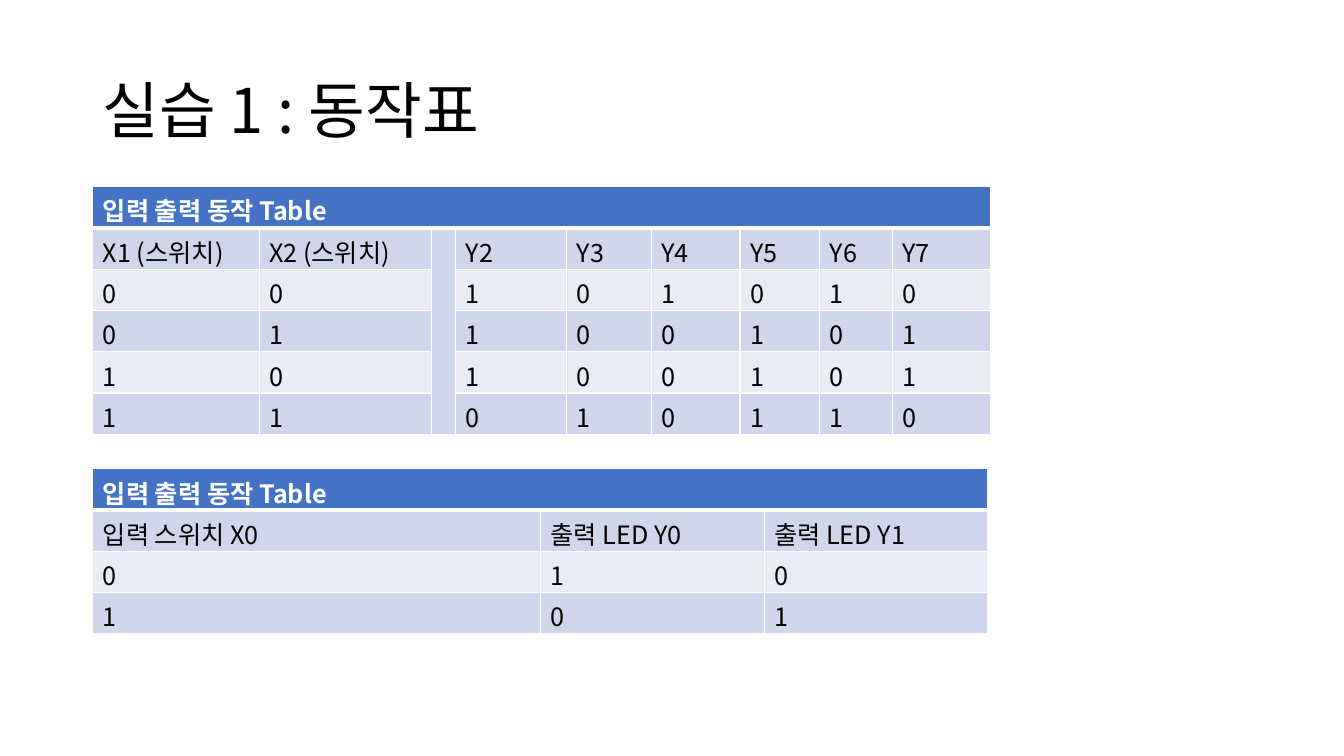
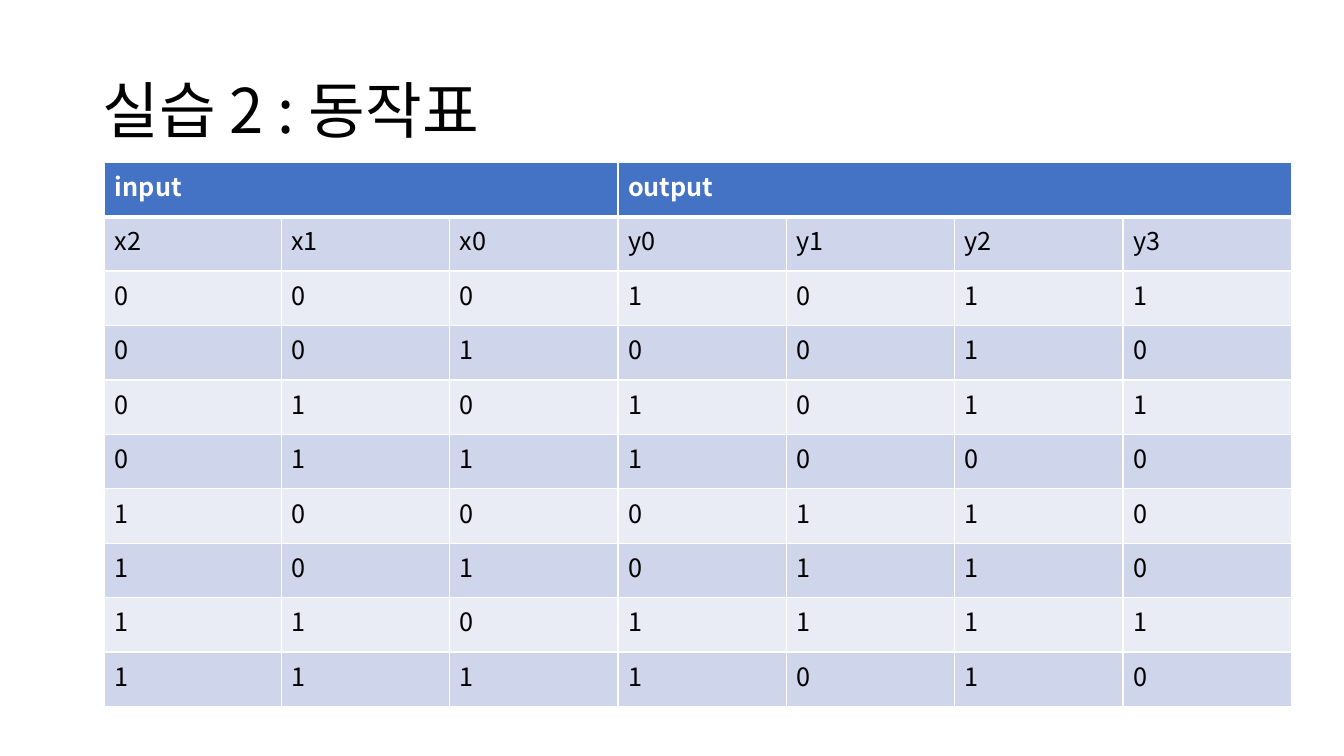
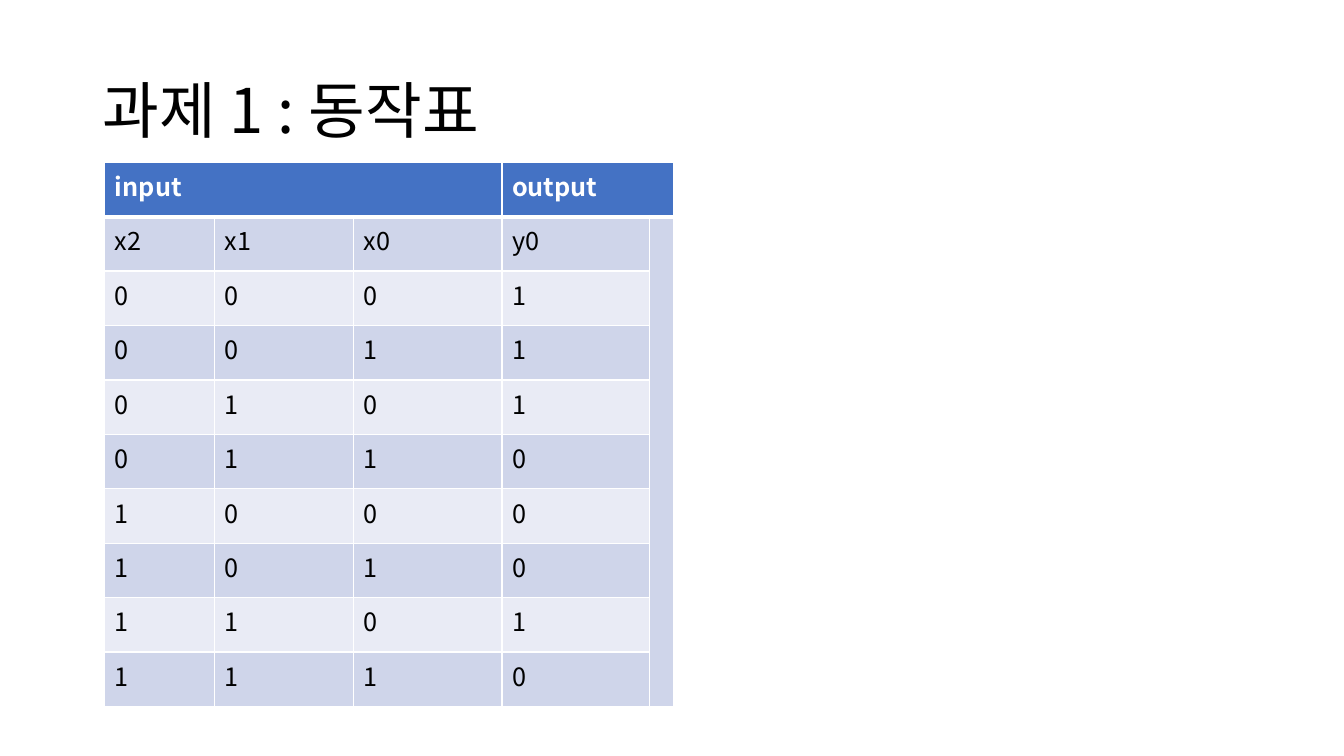
"""Build three slides of switch and output truth tables."""
from dataclasses import dataclass

from lxml.etree import SubElement
from pptx import Presentation
from pptx.dml.color import RGBColor
from pptx.enum.text import MSO_ANCHOR
from pptx.oxml.ns import qn
from pptx.util import Inches, Pt


@dataclass(frozen=True)
class Theme:
    font: str = "Noto Sans CJK KR"
    title_size: int = 44
    cell_size: int = 18
    ink: str = "000000"
    white: str = "FFFFFF"
    header: str = "4472C4"
    bands: tuple = ("E9EBF5", "CFD5EA")
    rule: int = 1
    header_rule: int = 3


THEME = Theme()


def add_text(paragraph, text, size, color, bold=False):
    run = paragraph.add_run()
    run.text = text
    run.font.size = Pt(size)
    run.font.name = THEME.font
    run.font.bold = bold
    run.font.color.rgb = RGBColor.from_string(color)
    SubElement(run.font._element, qn("a:ea"), typeface=THEME.font)


def style_cell(cell, fill, bottom_rule):
    properties = cell._tc.get_or_add_tcPr()
    for side in "LRTB":
        weight = bottom_rule if side == "B" else THEME.rule
        line = SubElement(properties, qn(f"a:ln{side}"), w=str(Pt(weight)))
        line_fill = SubElement(line, qn("a:solidFill"))
        SubElement(line_fill, qn("a:srgbClr"), val=THEME.white)
    cell.fill.solid()
    cell.fill.fore_color.rgb = RGBColor.from_string(fill)


lesson_slides = [
    ("실습 1 : 동작표", [
        {
            "at": (0.92, 1.85),
            "row_height": 0.41,
            "widths": [1.65, 1.71, 0.23, 1.1, 0.84, 0.88, 0.79, 0.72, 0.98],
            "headings": [("입력 출력 동작 Table", 9)],
            "labels": ["X1 (스위치)", "X2 (스위치)", "", "Y2", "Y3", "Y4", "Y5", "Y6", "Y7"],
            "states": ["00 101010", "01 100101", "10 100101", "11 010110"],
        },
        {
            "at": (0.92, 4.65),
            "row_height": 0.41,
            "widths": [4.44, 2.22, 2.22],
            "headings": [("입력 출력 동작 Table", 3)],
            "labels": ["입력 스위치 X0", "출력 LED Y0", "출력 LED Y1"],
            "states": ["010", "101"],
        },
    ]),
    ("실습 2 : 동작표", [
        {
            "at": (1.04, 1.61),
            "row_height": 0.54,
            "widths": [1.75] + [1.67] * 6,
            "headings": [("input", 3), ("output", 4)],
            "labels": ["x2", "x1", "x0", "y0", "y1", "y2", "y3"],
            "states": ["0001011", "0010010", "0101011", "0111000",
                       "1000110", "1010110", "1101111", "1111010"],
        },
    ]),
    ("과제 1 : 동작표", [
        {
            "at": (1.04, 1.61),
            "row_height": 0.54,
            "widths": [1.09, 1.38, 1.47, 1.46, 0.23],
            "headings": [("input", 3), ("output", 2)],
            "labels": ["x2", "x1", "x0", "y0", ""],
            "states": ["0001 ", "0011 ", "0101 ", "0110 ",
                       "1000 ", "1010 ", "1101 ", "1110 "],
        },
    ]),
]

deck = Presentation()
deck.slide_width = Inches(13.33)
deck.slide_height = Inches(7.5)

for heading, truth_tables in lesson_slides:
    slide = deck.slides.add_slide(deck.slide_layouts[6])
    title = slide.shapes.add_textbox(Inches(0.92), Inches(0.4), Inches(11.5), Inches(1.45))
    title.text_frame.word_wrap = True
    title.text_frame.vertical_anchor = MSO_ANCHOR.MIDDLE
    title_line = title.text_frame.paragraphs[0]
    title_line.line_spacing = 0.9
    add_text(title_line, heading, THEME.title_size, THEME.ink)

    for truth in truth_tables:
        left, top = truth["at"]
        widths = truth["widths"]
        body = [truth["labels"], *truth["states"]]
        row_count = len(body) + 1
        grid = slide.shapes.add_table(
            row_count, len(widths), Inches(left), Inches(top),
            Inches(sum(widths)), Inches(truth["row_height"] * row_count)).table
        for column, width in zip(grid.columns, widths):
            column.width = Inches(width)
        for row in grid.rows:
            row.height = Inches(truth["row_height"])

        for row_index in range(row_count):
            is_header = row_index == 0
            fill = THEME.header if is_header else THEME.bands[row_index % 2]
            bottom_rule = THEME.header_rule if is_header else THEME.rule
            for cell in grid.rows[row_index].cells:
                style_cell(cell, fill, bottom_rule)

        start = 0
        for group, span in truth["headings"]:
            group_cell = grid.cell(0, start)
            group_cell.merge(grid.cell(0, start + span - 1))
            add_text(group_cell.text_frame.paragraphs[0], group,
                     THEME.cell_size, THEME.white, bold=True)
            start += span

        for row_index, values in enumerate(body, start=1):
            for column_index, value in enumerate(values):
                if value.strip():
                    add_text(grid.cell(row_index, column_index).text_frame.paragraphs[0],
                             value, THEME.cell_size, THEME.ink)
                elif row_index == 1:
                    grid.cell(1, column_index).merge(grid.cell(row_count - 1, column_index))

deck.save("out.pptx")
